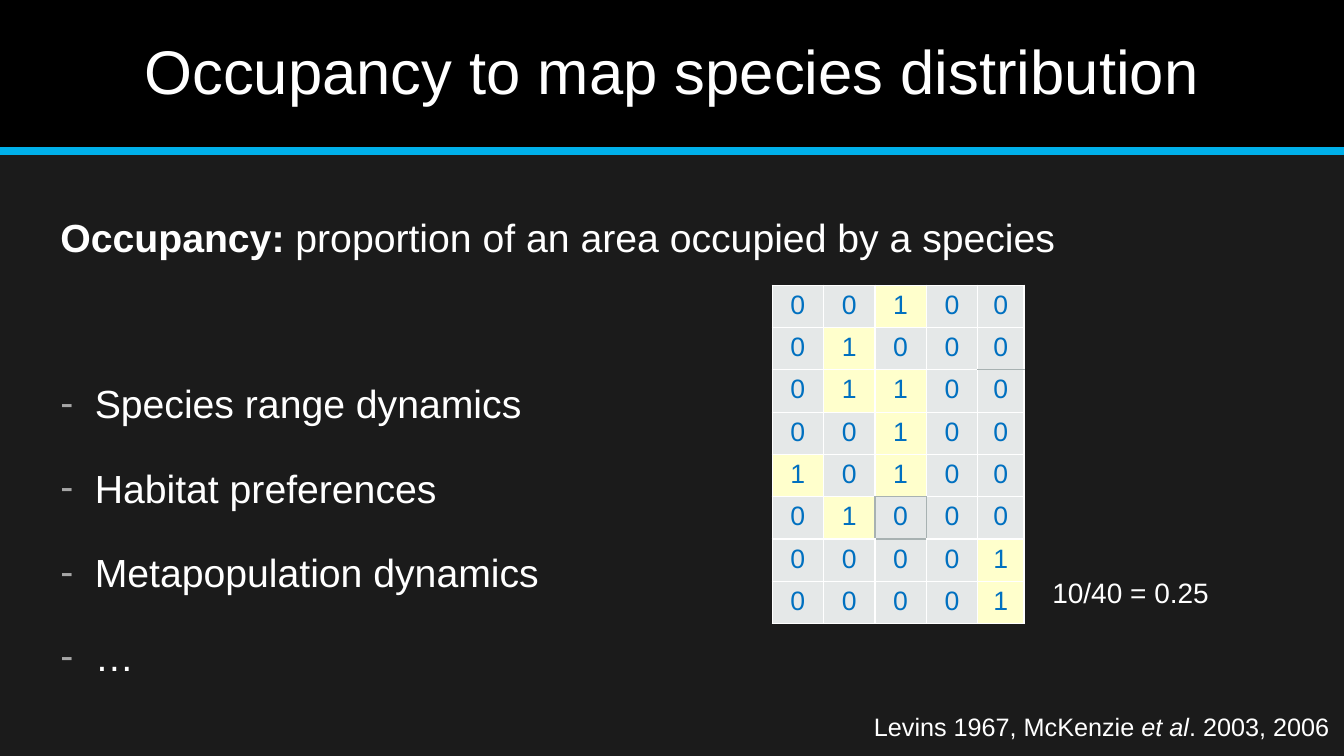
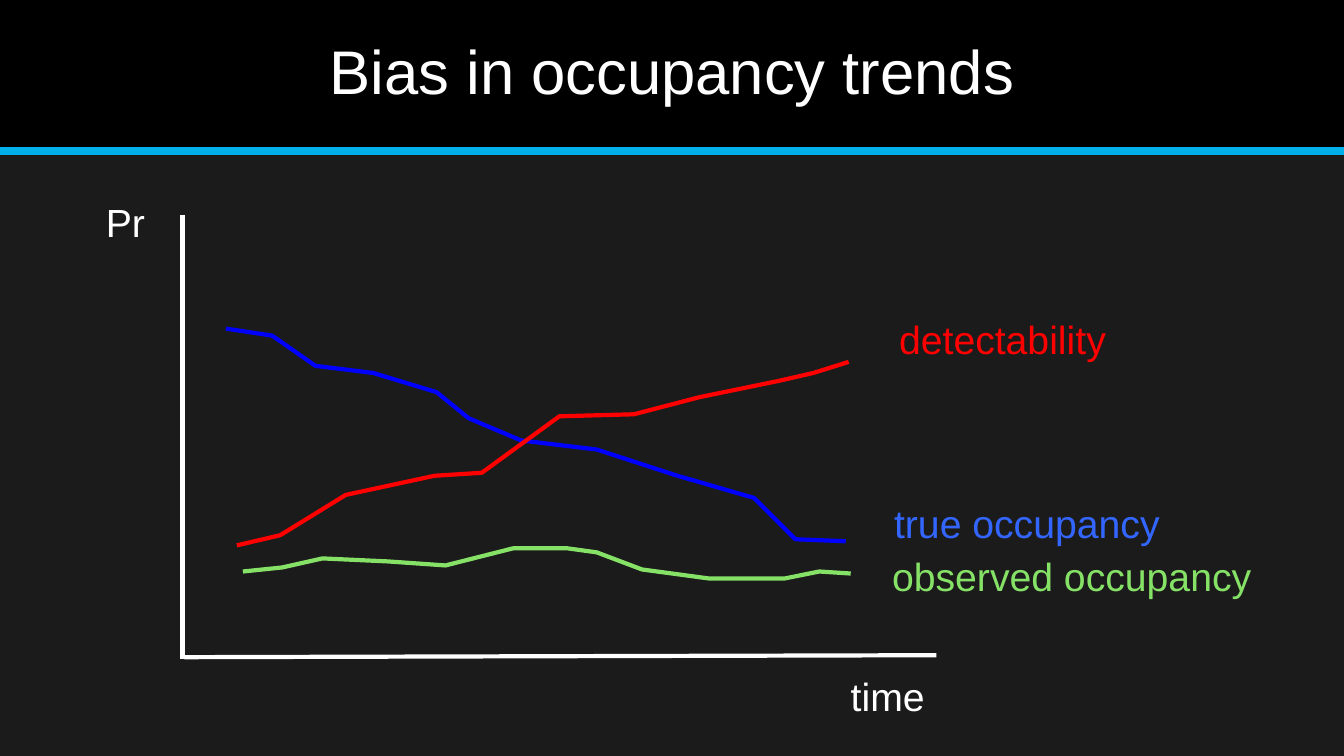
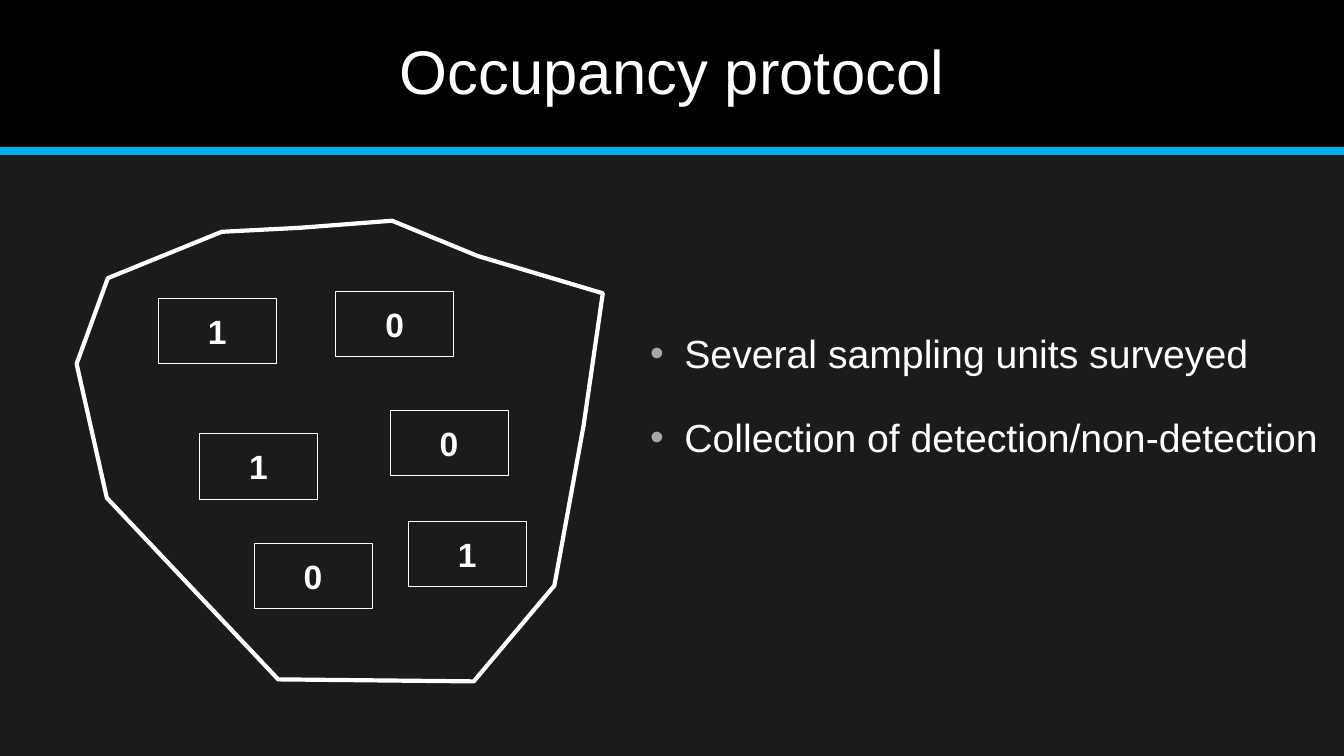
import pptx
import pptx.util
import pptx.dml.color
import pptx.enum.shapes
import pptx.enum.text
import pptx.oxml
import pptx.oxml.ns

RGB = pptx.dml.color.RGBColor
Pt = pptx.util.Pt
ALIGN = pptx.enum.text.PP_ALIGN
ANCHOR = pptx.enum.text.MSO_ANCHOR
RECT = pptx.enum.shapes.MSO_SHAPE.RECTANGLE
STRAIGHT = pptx.enum.shapes.MSO_CONNECTOR.STRAIGHT
SPACE = pptx.oxml.ns.nsdecls("a")

# Colours
NIGHT = RGB(0x1B, 0x1B, 0x1B)
BLACK = RGB(0, 0, 0)
WHITE = RGB(0xFF, 0xFF, 0xFF)
CYAN = RGB(0x00, 0xB0, 0xEA)
GREY = RGB(0xA6, 0xA6, 0xA6)
EDGE = RGB(0xA8, 0xB2, 0xB2)
MIST = RGB(0xE5, 0xE8, 0xE8)
CREAM = RGB(0xFF, 0xFF, 0xCC)
INK = RGB(0x00, 0x70, 0xC0)
BLUE = RGB(0x00, 0x00, 0xFF)
SKY = RGB(0x33, 0x66, 0xFF)
RED = RGB(0xFF, 0, 0)
GREEN = RGB(0x86, 0xE1, 0x67)

# Grid of square cells
COLS, ROWS = 133.33, 75
CELL = pptx.util.Inches(0.1)


def grid(*cells):
    return [round(n * CELL) for n in cells]


class Deck:
    font = "Arial"
    body = 28
    gap = 26.5     # points between body paragraphs
    hang = 3.4     # bullet indent in cells

    def __init__(self):
        self.prs = pptx.Presentation()
        self.prs.slide_width, self.prs.slide_height = grid(COLS, ROWS)
        fill = self.prs.slide_master.background.fill
        fill.solid()
        fill.fore_color.rgb = NIGHT

    def start(self, title):
        """Add a slide with its title band."""
        self.slide = self.prs.slides.add_slide(self.prs.slide_layouts[6])
        self.shapes = self.slide.shapes
        self.box(0, 0, COLS, 15, fill=BLACK)
        self.line(0, 15, COLS, 15, CYAN, 6)
        frame = self.frame(11.7, 1.4, 110, 12)
        frame.vertical_anchor = ANCHOR.MIDDLE
        para = frame.paragraphs[0]
        para.alignment = ALIGN.CENTER
        para.line_spacing = 0.9
        self.run(para, title, 44)

    def run(self, para, text, size, color=WHITE, mark=""):
        run = para.add_run()
        run.text = text
        font = run.font
        font.name, font.size = self.font, Pt(size)
        font.color.rgb = color
        font.bold, font.italic = mark == "b", mark == "i"

    def inset(self, frame):
        frame.word_wrap = True
        frame.margin_left, frame.margin_right = grid(1.1, 1.1)
        frame.margin_top, frame.margin_bottom = grid(0.6, 0.6)

    def frame(self, x, y, w, h):
        frame = self.shapes.add_textbox(*grid(x, y, w, h)).text_frame
        self.inset(frame)
        return frame

    def label(self, x, y, *runs, size=body, color=WHITE, w=None):
        """One line of text; it reaches the right edge unless w is given."""
        frame = self.frame(x, y, w or COLS - x, size * 0.16 + 1.2)
        for text, mark in runs:
            self.run(frame.paragraphs[0], text, size, color, mark)
        return frame

    def points(self, frame, sign, items, first=gap):
        """Add bulleted paragraphs after any text already in the frame."""
        for item in items:
            if frame.text:
                para = frame.add_paragraph()
                para.space_before = Pt(first if item == items[0] else self.gap)
            else:
                para = frame.paragraphs[0]
            props = para._p.get_or_add_pPr()
            hang = grid(self.hang)[0]
            props.set("marL", str(hang))
            props.set("indent", str(-hang))
            for xml in (f'<a:buClr {SPACE}><a:srgbClr val="{GREY}"/></a:buClr>',
                        f'<a:buFont {SPACE} typeface="{self.font}"/>',
                        f'<a:buChar {SPACE} char="{sign}"/>'):
                props.append(pptx.oxml.parse_xml(xml))
            self.run(para, item, self.body)

    def paint(self, shape, fill=None, line=None, width=3):
        shape.shadow.inherit = False
        if fill is None:
            shape.fill.background()
        else:
            shape.fill.solid()
            shape.fill.fore_color.rgb = fill
        if line is None:
            shape.line.fill.background()
        else:
            shape.line.color.rgb = line
            shape.line.width = Pt(width)

    def box(self, x, y, w, h, text="", fill=None, line=None, width=0.5):
        shape = self.shapes.add_shape(RECT, *grid(x, y, w, h))
        self.paint(shape, fill, line, width)
        if text:
            frame = shape.text_frame
            self.inset(frame)
            frame.vertical_anchor = ANCHOR.MIDDLE
            para = frame.paragraphs[0]
            para.alignment = ALIGN.CENTER
            self.run(para, text, 24, mark="b")

    def line(self, x1, y1, x2, y2, color=WHITE, width=3):
        line = self.shapes.add_connector(STRAIGHT, *grid(x1, y1, x2, y2))
        line.line.color.rgb = color
        line.line.width = Pt(width)
        line._element.spPr.append(
            pptx.oxml.parse_xml(f"<a:effectLst {SPACE}/>"))

    def trace(self, color, dots, close=False):
        """Outline through (column, row) points."""
        first, *rest = [grid(*dot) for dot in dots]
        build = self.shapes.build_freeform(*first)
        build.add_line_segments(rest, close=close)
        self.paint(build.convert_to_shape(), line=color)

    def table(self, x, y, wide, high, lines, edges):
        """Table of digits; edges lists the grey sides of a cell."""
        size = grid(x, y, sum(wide), high * len(lines))
        table = self.shapes.add_table(len(lines), len(wide), *size).table
        for col, width in zip(table.columns, wide):
            col.width = grid(width)[0]
        for r, digits in enumerate(lines):
            table.rows[r].height = grid(high)[0]
            for c, digit in enumerate(digits):
                cell = table.cell(r, c)
                cell.fill.solid()
                cell.fill.fore_color.rgb = CREAM if digit == "1" else MIST
                para = cell.text_frame.paragraphs[0]
                para.alignment = ALIGN.CENTER
                self.run(para, digit, 19, INK)
                props = cell._tc.get_or_add_tcPr()
                for n, side in enumerate("LRTB"):
                    color = EDGE if side in edges.get((r, c), "") else WHITE
                    props.insert(n, pptx.oxml.parse_xml(
                        f'<a:ln{side} {SPACE} w="{Pt(1)}"><a:solidFill>'
                        f'<a:srgbClr val="{color}"/></a:solidFill></a:ln{side}>'))


def main():
    deck = Deck()

    # Occupancy map
    deck.start("Occupancy to map species distribution")
    frame = deck.label(4.9, 20.6, ("Occupancy: ", "b"),
                       ("proportion of an area occupied by a species", ""),
                       w=121.8)
    deck.points(frame, "-", ["Species range dynamics", "Habitat preferences",
                             "Metapopulation dynamics", "…"], first=85)
    deck.table(76.6, 28.3, [5.1] * 4 + [4.6], 4.2,
               ["00100", "01000", "01100", "00100",
                "10100", "01000", "00001", "00001"],
               {(1, 4): "B", (2, 4): "T", (4, 2): "B", (5, 1): "R",
                (5, 2): "LRTB", (5, 3): "L", (6, 2): "T"})
    deck.label(85.6, 70, ("Levins 1967, McKenzie ", ""), ("et al", "i"),
               (". 2003, 2006", ""), size=18)
    deck.label(103.3, 56.5, ("10/40 = 0.25", ""), size=20, w=24)

    # Trend sketch
    deck.start("Bias in occupancy trends")
    deck.line(18.1, 21.3, 18.1, 65.4)
    deck.line(92.9, 65, 18.3, 65.2)
    deck.trace(BLUE, [
        (22.4, 32.6), (27, 33.3), (31.3, 36.3), (37, 37), (43.3, 38.9),
        (46.5, 41.5), (51.7, 43.7), (59.2, 44.6), (67.2, 47.2),
        (74.8, 49.4), (78.9, 53.5), (83.9, 53.7)])
    deck.trace(RED, [
        (23.5, 54.1), (27.8, 53.1), (34.3, 49.1), (43.1, 47.2),
        (47.8, 46.9), (55.5, 41.3), (62.9, 41.1), (69.4, 39.4),
        (77.2, 37.8), (80.7, 37), (84.2, 35.9)])
    deck.trace(GREEN, [
        (24.1, 56.7), (28, 56.3), (32, 55.4), (38.5, 55.7), (44.2, 56.1),
        (50.9, 54.4), (56.3, 54.4), (59.2, 54.8), (63.7, 56.5),
        (70.4, 57.4), (77.8, 57.4), (81.3, 56.7), (84.4, 56.9)])
    for x, y, text, color in [
            (87.4, 54.2, "observed occupancy", GREEN),
            (87.6, 48.9, "true occupancy", SKY),
            (88.1, 30.7, "detectability", RED),
            (83.3, 66.1, "time", WHITE),
            (9.4, 19.1, "Pr", WHITE)]:
        deck.label(x, y, (text, ""), color=color, w=min(48.7, COLS - x))

    # Sampling units in a study area
    deck.start("Occupancy protocol")
    deck.trace(WHITE, [
        (22, 23), (10.7, 27.6), (7.6, 36.1), (10.6, 49.4), (27.6, 67.4),
        (47, 67.6), (55, 58.1), (57.9, 42.2), (59.8, 29.1), (47.4, 25.4),
        (38.9, 21.9), (29.8, 22.6)], close=True)
    for x, y, digit in [(15.7, 29.6, "1"), (33.3, 28.9, "0"),
                        (19.8, 43, "1"), (38.7, 40.7, "0"),
                        (25.2, 53.9, "0"), (40.5, 51.7, "1")]:
        deck.box(x, y, 11.7, 6.5, digit, line=WHITE)
    deck.points(deck.frame(63.4, 32.1, COLS - 63.4, 14.1), "•",
                ["Several sampling units surveyed",
                 "Collection of detection/non-detection"])

    deck.prs.save("out.pptx")


if __name__ == "__main__":
    main()
